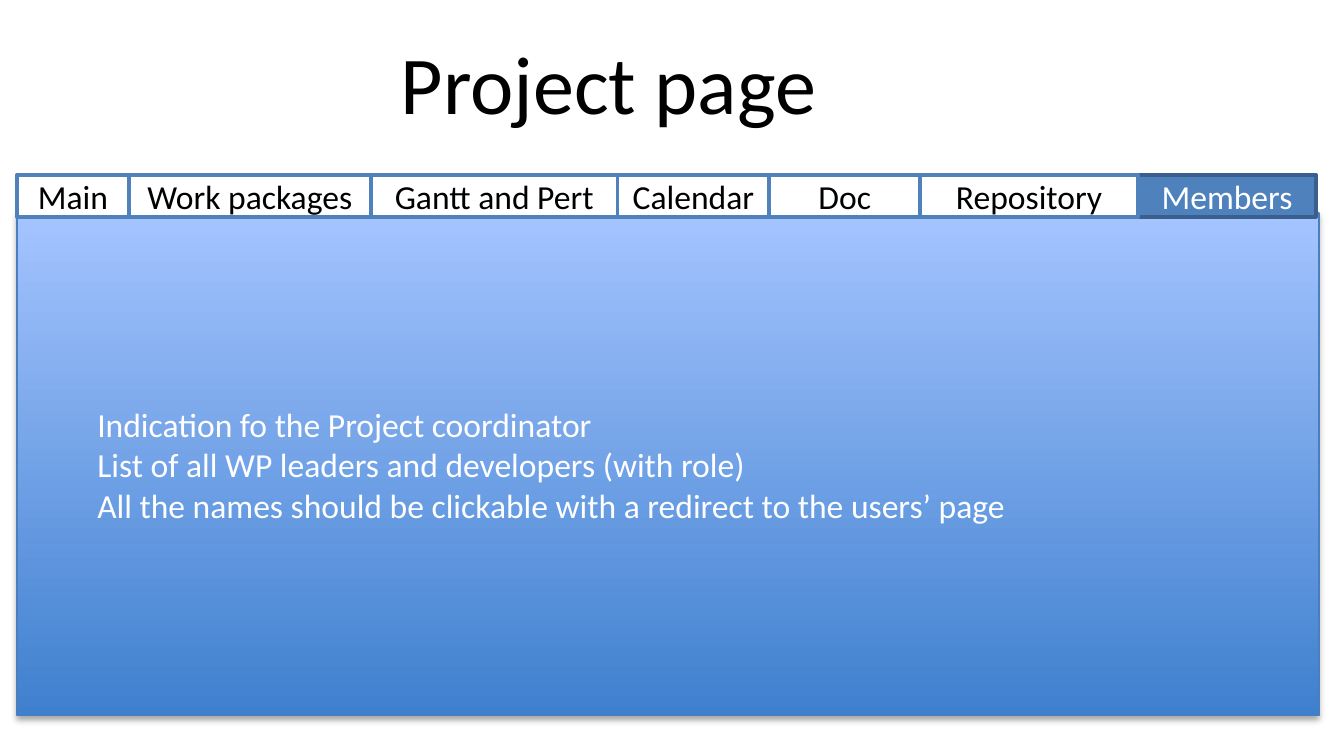
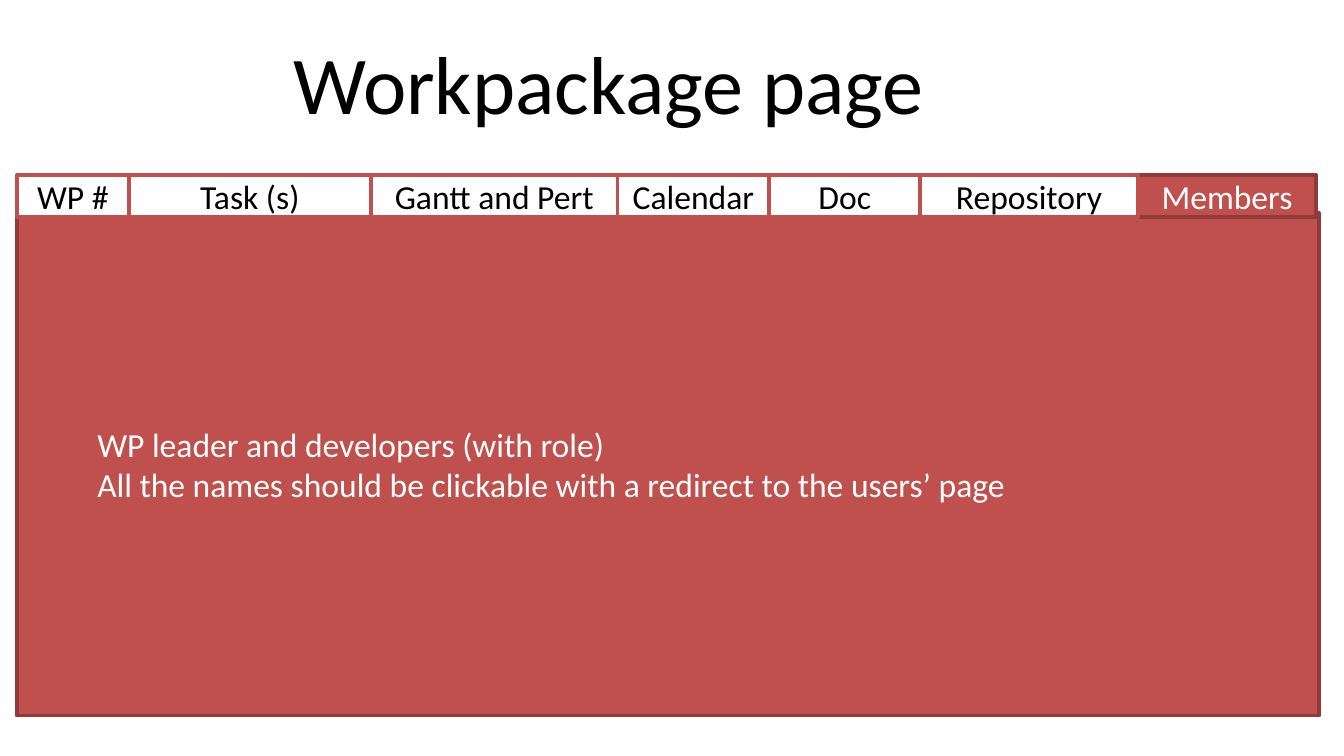
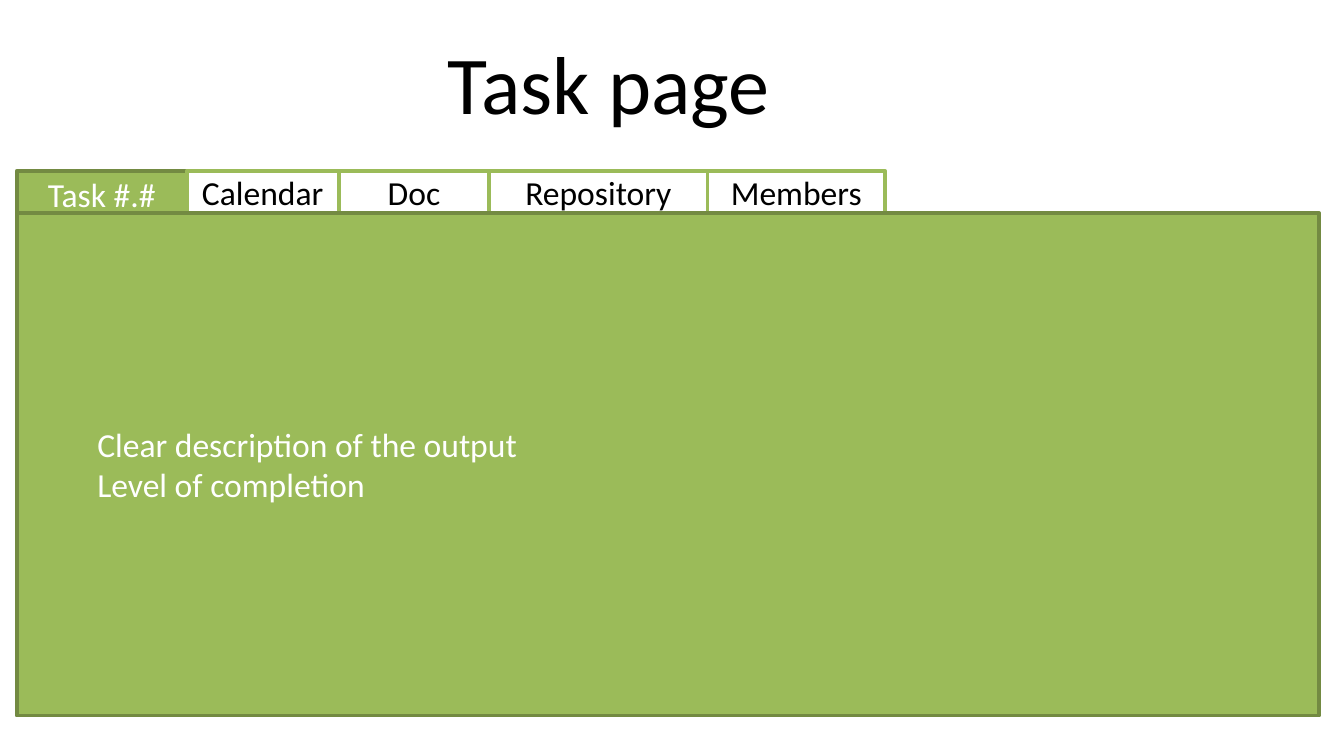
from dataclasses import dataclass

from lxml import etree
from pptx import Presentation
from pptx.dml.color import RGBColor
from pptx.enum.shapes import MSO_SHAPE
from pptx.enum.text import MSO_ANCHOR, PP_ALIGN
from pptx.oxml.ns import qn
from pptx.util import Pt

RECT = MSO_SHAPE.RECTANGLE
MIDDLE = MSO_ANCHOR.MIDDLE
LEFT, CENTER = PP_ALIGN.LEFT, PP_ALIGN.CENTER
TITLE_ONLY = 5
PX = 4572  # 200 px to the inch


@dataclass(frozen=True)
class Theme:
    font: str = "Calibri"
    title_size: int = 44
    text_size: int = 18
    dark: str = "000000"
    light: str = "FFFFFF"
    line: float = 2
    thin_line: float = 0.75
    # accent and its darker edge
    blue: tuple = ("4F81BD", "3A5F8C")
    red: tuple = ("C0504D", "8E3B39")
    green: tuple = ("9BBB59", "738A42")
    gradient: tuple = ("3F80CE", "A4C4FF")
    gradient_edge: str = "4B7EBC"


THEME = Theme()

SLIDE_SIZE = (2000, 1125)
LEFT_EDGE = 25
TITLE_BOX = (100, 28, 1612, 188)
PANEL_BOX = (LEFT_EDGE, 317, 1938, 748)
PANEL_INDENT = 100
TAB_HEIGHT = 63

SHARED_TABS = [("Calendar", 226), ("Doc", 224), ("Repository", 325), ("Members", 264)]
GANTT_TABS = [("Gantt and Pert", 367)] + SHARED_TABS
CLICKABLE = "All the names should be clickable with a redirect to the users’ page"


def emu(*lengths):
    return [length * PX for length in lengths]


def rgb(color):
    return RGBColor.from_string(color)


def style_paragraph(p, size, color, align):
    p.alignment = align
    p.font.name = THEME.font
    p.font.size = Pt(size)
    p.font.color.rgb = rgb(color)


def add_titled_slide(prs, title):
    slide = prs.slides.add_slide(prs.slide_layouts[TITLE_ONLY])
    sp = slide.shapes.title
    sp.left, sp.top, sp.width, sp.height = emu(*TITLE_BOX)
    tf = sp.text_frame
    tf.text = title
    tf.vertical_anchor = MIDDLE
    style_paragraph(tf.paragraphs[0], THEME.title_size, THEME.dark, CENTER)
    return slide


def add_box(slide, box, fill, edge, lines, color, align=CENTER):
    sp = slide.shapes.add_shape(RECT, *emu(*box))
    sp.shadow.inherit = False
    sp.fill.solid()
    sp.fill.fore_color.rgb = rgb(fill)
    sp.line.color.rgb = rgb(edge)
    sp.line.width = Pt(THEME.line)
    tf = sp.text_frame
    tf.word_wrap = True
    tf.vertical_anchor = MIDDLE
    tf.text = "\n".join(lines)
    for p in tf.paragraphs:
        style_paragraph(p, THEME.text_size, color, align)
    return sp


def add_panel(slide, accent, lines):
    fill, edge = accent
    sp = add_box(slide, PANEL_BOX, fill, edge, lines, THEME.light, LEFT)
    for p in sp.text_frame.paragraphs:
        p.level = 1
        pPr = p._p.get_or_add_pPr()
        pPr.set("marL", str(PANEL_INDENT * PX))
        pPr.set("indent", "0")
    return sp


def add_tabs(slide, tabs, active, accent, top, active_height=TAB_HEIGHT):
    """Lay the tabs side by side; the active one goes behind its neighbours."""
    placed, left = [], LEFT_EDGE
    for label, width in tabs:
        placed.append((label, left, width))
        left += width
    placed.sort(key=lambda tab: tab[0] != active)
    fill, edge = accent
    for label, left, width in placed:
        if label == active:
            box = (left, top, width, active_height)
            add_box(slide, box, fill, edge, [label], THEME.light)
        else:
            box = (left, top, width, TAB_HEIGHT)
            add_box(slide, box, THEME.light, fill, [label], THEME.dark)


def add_gradient(sp):
    sp.fill.gradient()
    sp.fill.gradient_angle = 90
    for stop, color in zip(sp.fill.gradient_stops, THEME.gradient):
        stop.color.rgb = rgb(color)
    sp.line.color.rgb = rgb(THEME.gradient_edge)
    sp.line.width = Pt(THEME.thin_line)


def add_drop_shadow(sp):
    effects = sp._element.spPr.find(qn("a:effectLst"))
    shadow = etree.SubElement(effects, qn("a:outerShdw"), blurRad="40000",
                              dist="23000", dir="5400000", rotWithShape="0")
    color = etree.SubElement(shadow, qn("a:srgbClr"), val=THEME.dark)
    etree.SubElement(color, qn("a:alpha"), val="35000")


def add_project_slide(prs):
    slide = add_titled_slide(prs, "Project page")
    panel = add_panel(slide, THEME.blue, [
        "Indication fo the Project coordinator",
        "List of all WP leaders and developers (with role)",
        CLICKABLE,
    ])
    add_gradient(panel)
    add_drop_shadow(panel)
    tabs = [("Main", 167), ("Work packages", 360)] + GANTT_TABS
    add_tabs(slide, tabs, "Members", THEME.blue, top=260)


def add_workpackage_slide(prs):
    slide = add_titled_slide(prs, "Workpackage page")
    add_panel(slide, THEME.red, ["WP leader and developers (with role)", CLICKABLE])
    tabs = [("WP #", 167), ("Task (s)", 360)] + GANTT_TABS
    add_tabs(slide, tabs, "Members", THEME.red, top=260)


def add_task_slide(prs):
    slide = add_titled_slide(prs, "Task page")
    tabs = [("Task #.#", 253)] + SHARED_TABS
    add_tabs(slide, tabs, "Task #.#", THEME.green, top=254, active_height=70)
    add_panel(slide, THEME.green, ["Clear description of the output", "Level of completion"])


def main():
    prs = Presentation()
    prs.slide_width, prs.slide_height = emu(*SLIDE_SIZE)
    add_project_slide(prs)
    add_workpackage_slide(prs)
    add_task_slide(prs)
    prs.save("out.pptx")


if __name__ == "__main__":
    main()
